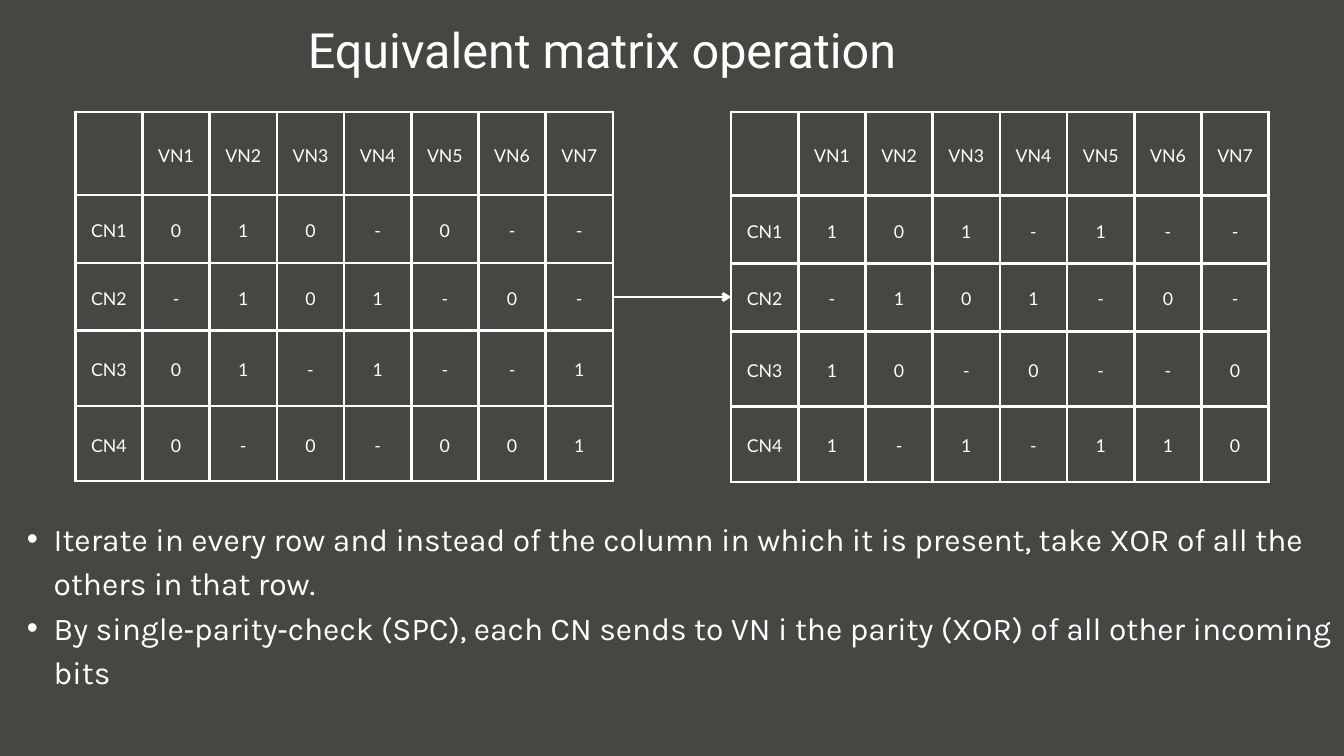
from dataclasses import dataclass

from lxml.etree import SubElement
from pptx import Presentation
from pptx.dml.color import RGBColor
from pptx.enum.shapes import MSO_CONNECTOR as Connector
from pptx.enum.text import MSO_ANCHOR as Anchor, MSO_AUTO_SIZE as AutoSize, PP_ALIGN as Align
from pptx.oxml.ns import qn
from pptx.slide import Slide
from pptx.text.text import TextFrame, _Paragraph as Paragraph
from pptx.util import Inches, Pt


@dataclass(frozen=True)
class TextStyle:
    font: str
    size: float
    leading: float


@dataclass(frozen=True)
class Theme:
    background: str = "474643"
    foreground: str = "FFFFFF"
    line_width: float = 3
    title: TextStyle = TextStyle("Roboto", 52, 72.8)
    cell: TextStyle = TextStyle("Lato", 19, 26.6)
    body: TextStyle = TextStyle("Karla", 34, 47.6)


@dataclass(frozen=True)
class Matrix:
    left: float
    header_height: float
    rows: tuple[str, ...]


THEME = Theme()
FOREGROUND = RGBColor.from_string(THEME.foreground)
MATRIX_TOP = 1.67
COLUMN_COUNT = 8
COLUMN_WIDTH = 1
ROW_HEIGHTS = (1.01, 1.01, 1.12, 1.12)
CELL_INSET = 0.21
ARROW_Y = 4.42
MATRICES = (
    Matrix(1.12, 1.23, ("010-0--", "-101-0-", "01-1--1", "0-0-001")),
    Matrix(10.88, 1.24, ("101-1--", "-101-0-", "10-0--0", "1-1-110")),
)
BULLETS = (
    "Iterate in every row and instead of the column in which it is present, "
    "take XOR of all the others in that row.",
    "By single‐parity‐check (SPC), each CN sends to VN i the parity (XOR) "
    "of all other incoming bits",
)


def write(paragraph: Paragraph, text: str, style: TextStyle) -> None:
    paragraph.line_spacing = Pt(style.leading)
    run = paragraph.add_run()
    run.text = text
    run.font.name = style.font
    run.font.size = Pt(style.size)
    run.font.color.rgb = FOREGROUND


def add_border(cell) -> None:
    properties = cell._tc.get_or_add_tcPr()
    for side in ("a:lnL", "a:lnR", "a:lnT", "a:lnB"):
        line = SubElement(properties, qn(side), w=str(Pt(THEME.line_width)))
        fill = SubElement(line, qn("a:solidFill"))
        SubElement(fill, qn("a:srgbClr"), val=THEME.foreground)


def add_matrix(slide: Slide, matrix: Matrix) -> None:
    grid = [["", *(f"VN{number}" for number in range(1, COLUMN_COUNT))]]
    grid += [[f"CN{number}", *values] for number, values in enumerate(matrix.rows, 1)]
    heights = (matrix.header_height, *ROW_HEIGHTS)
    table = slide.shapes.add_table(
        len(grid), COLUMN_COUNT, Inches(matrix.left), Inches(MATRIX_TOP),
        Inches(COLUMN_COUNT * COLUMN_WIDTH), Inches(sum(heights)),
    ).table
    table.first_row = table.horz_banding = False
    for column in table.columns:
        column.width = Inches(COLUMN_WIDTH)
    for row, height, texts in zip(table.rows, heights, grid):
        row.height = Inches(height)
        for cell, text in zip(row.cells, texts):
            add_border(cell)
            cell.fill.background()
            cell.vertical_anchor = Anchor.MIDDLE
            cell.margin_left = cell.margin_right = Inches(CELL_INSET)
            cell.margin_top = cell.margin_bottom = Inches(CELL_INSET)
            if text:
                paragraph = cell.text_frame.paragraphs[0]
                paragraph.alignment = Align.CENTER
                write(paragraph, text, THEME.cell)


def add_arrow(slide: Slide, start: float, end: float, y: float) -> None:
    arrow = slide.shapes.add_connector(
        Connector.STRAIGHT, Inches(start), Inches(y), Inches(end), Inches(y)
    )
    arrow.line.color.rgb = FOREGROUND
    arrow.line.width = Pt(THEME.line_width)
    SubElement(arrow.line._get_or_add_ln(), qn("a:tailEnd"), type="arrow")
    SubElement(arrow._element.spPr, qn("a:effectLst"))


def add_text_frame(slide: Slide, left: float, top: float, width: float, height: float) -> TextFrame:
    box = slide.shapes.add_textbox(Inches(left), Inches(top), Inches(width), Inches(height))
    frame = box.text_frame
    frame.word_wrap = True
    frame.auto_size = AutoSize.SHAPE_TO_FIT_TEXT
    frame.margin_left = frame.margin_right = frame.margin_top = frame.margin_bottom = 0
    return frame


def add_title(slide: Slide, text: str) -> None:
    paragraph = add_text_frame(slide, 3.17, 0.15, 11.58, 0.91).paragraphs[0]
    paragraph.alignment = Align.CENTER
    write(paragraph, text, THEME.title)


def add_bullets(slide: Slide, texts: tuple[str, ...]) -> None:
    frame = add_text_frame(slide, 0, 7.64, 20, 2.6)
    for index, text in enumerate(texts):
        paragraph = frame.add_paragraph() if index else frame.paragraphs[0]
        paragraph.level = 1
        properties = paragraph._p.get_or_add_pPr()
        properties.set("marL", str(Inches(0.8)))
        properties.set("indent", str(Inches(-0.4)))
        SubElement(properties, qn("a:buFont"), typeface="Arial")
        SubElement(properties, qn("a:buChar"), char="•")
        write(paragraph, text, THEME.body)


def main() -> None:
    """Build the slide on the matrix form of the check-node update."""
    presentation = Presentation()
    presentation.slide_width = Inches(20)
    presentation.slide_height = Inches(11.25)
    slide = presentation.slides.add_slide(presentation.slide_layouts[6])
    slide.background.fill.solid()
    slide.background.fill.fore_color.rgb = RGBColor.from_string(THEME.background)
    for matrix in MATRICES:
        add_matrix(slide, matrix)
    before, after = MATRICES
    add_arrow(slide, before.left + COLUMN_COUNT * COLUMN_WIDTH, after.left, ARROW_Y)
    add_title(slide, "Equivalent matrix operation")
    add_bullets(slide, BULLETS)
    presentation.save("out.pptx")


if __name__ == "__main__":
    main()
